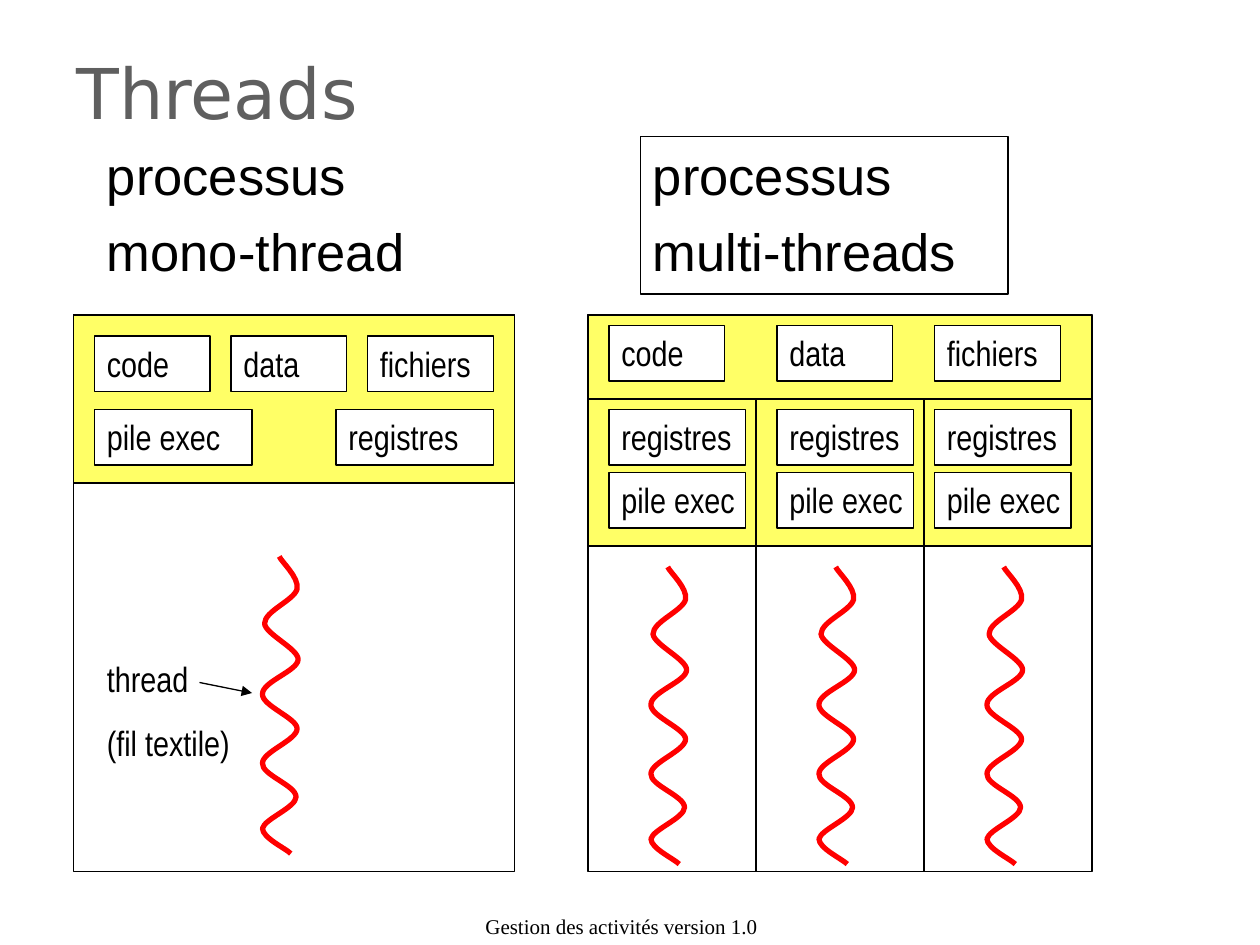
from lxml import etree
from pptx import Presentation
from pptx.dml.color import RGBColor
from pptx.enum.shapes import MSO_CONNECTOR, MSO_SHAPE
from pptx.enum.text import MSO_ANCHOR, MSO_AUTO_SIZE, PP_ALIGN
from pptx.oxml.ns import qn
from pptx.util import Pt

PX = 7620  # EMU per px, 120 px to the inch
RECTANGLE = MSO_SHAPE.RECTANGLE
STRAIGHT = MSO_CONNECTOR.STRAIGHT
TOP, MIDDLE, BOTTOM = MSO_ANCHOR.TOP, MSO_ANCHOR.MIDDLE, MSO_ANCHOR.BOTTOM
LEFT, CENTER = PP_ALIGN.LEFT, PP_ALIGN.CENTER

BLACK = RGBColor(0x00, 0x00, 0x00)
WHITE = RGBColor(0xFF, 0xFF, 0xFF)
YELLOW = RGBColor(0xFF, 0xFF, 0x66)
RED = RGBColor(0xFF, 0x00, 0x00)
GREY = RGBColor(0x5F, 0x5F, 0x5F)

# Content
TITLE = "Threads"
FOOTER = "Gestion des activités version 1.0"
SINGLE_HEADING = ["processus", "mono-thread"]
MULTI_HEADING = ["processus", "multi-threads"]
THREAD_LABEL = ["thread", "(fil textile)"]

# Labelled boxes: text, left, top, width
SINGLE_BOXES = [
    ("code", 90, 320, 110),
    ("data", 220, 320, 110),
    ("fichiers", 350, 320, 120),
    ("pile exec", 90, 390, 150),
    ("registres", 320, 390, 150),
]
# One column per thread: shared resource, left, width
SHARED_BOXES = [("code", 580, 110), ("data", 740, 110), ("fichiers", 890, 120)]
THREAD_BOXES = [("registres", 390), ("pile exec", 450)]
BOX_HEIGHT = 53

# Process frames: left, top, width, height
PROCESS_TOP, PROCESS_HEIGHT = 300, 530
SINGLE_LEFT, SINGLE_WIDTH, SINGLE_HEADER = 70, 420, 160
MULTI_LEFT, MULTI_WIDTH, MULTI_HEADER = 560, 480, 220
COLUMN_WIDTH = MULTI_WIDTH // len(SHARED_BOXES)
DIVIDER_TOP = 380

# Wavy thread: Bézier points relative to its start, three for each curve
WAVE = [
    (2, 5), (19, 20), (17, 31),
    (14, 42), (-14, 52), (-14, 64),
    (-13, 74), (18, 88), (18, 98),
    (18, 109), (-16, 119), (-16, 131),
    (-17, 142), (17, 154), (17, 164),
    (17, 175), (-16, 186), (-16, 197),
    (-17, 208), (16, 218), (16, 229),
    (16, 239), (-14, 250), (-16, 259),
    (-16, 268), (6, 278), (11, 283),
]

presentation = Presentation()
presentation.slide_width = 1200 * PX
presentation.slide_height = 900 * PX
slide = presentation.slides.add_slide(presentation.slide_layouts[5])


def emu(*lengths):
    return [length * PX for length in lengths]


def write(shape, lines, size=20, font="Arial Narrow", color=BLACK, before=12.5,
          align=LEFT, anchor=TOP, right=12, fit=MSO_AUTO_SIZE.NONE):
    frame = shape.text_frame
    frame.text = "\n".join(lines)
    frame.word_wrap = True
    frame.auto_size = fit
    frame.vertical_anchor = anchor
    frame.margin_left, frame.margin_right = emu(12, right)
    frame.margin_top = frame.margin_bottom = 6 * PX
    for paragraph in frame.paragraphs:
        paragraph.alignment = align
        paragraph.space_before = Pt(before)
        paragraph.font.size = Pt(size)
        paragraph.font.name = font
        paragraph.font.color.rgb = color


def add_box(left, top, width, height, fill=WHITE):
    shape = slide.shapes.add_shape(RECTANGLE, *emu(left, top, width, height))
    shape.shadow.inherit = False
    shape.fill.solid()
    shape.fill.fore_color.rgb = fill
    shape.line.color.rgb = BLACK
    shape.line.width = Pt(0.75)
    return shape


def add_label_box(text, left, top, width, right=12):
    write(add_box(left, top, width, BOX_HEIGHT), [text], right=right,
          fit=MSO_AUTO_SIZE.SHAPE_TO_FIT_TEXT)


def add_process(left, width, header):
    add_box(left, PROCESS_TOP, width, PROCESS_HEIGHT)
    add_box(left, PROCESS_TOP, width, header, fill=YELLOW)


def add_line(*ends, arrow=False):
    connector = slide.shapes.add_connector(STRAIGHT, *emu(*ends))
    connector.line.color.rgb = BLACK
    connector.line.width = Pt(0.75)
    if arrow:
        line = connector.line._get_or_add_ln()
        etree.SubElement(line, qn("a:tailEnd"), type="triangle")
    etree.SubElement(connector._element.spPr, qn("a:effectLst"))


def add_thread(left, top):
    builder = slide.shapes.build_freeform(left, top, scale=PX)
    builder.add_line_segments([(left + x, top + y) for x, y in WAVE], close=False)
    shape = builder.convert_to_shape()
    shape.shadow.inherit = False
    shape.fill.background()
    shape.line.color.rgb = RED
    shape.line.width = Pt(3)
    # Join every three straight segments into one cubic curve
    outline = next(shape._element.iter(qn("a:path")))
    segments = outline.findall(qn("a:lnTo"))
    for start in range(0, len(segments), 3):
        curve = etree.SubElement(outline, qn("a:cubicBezTo"))
        for segment in segments[start:start + 3]:
            curve.append(segment[0])
            outline.remove(segment)


# Title, footer and headings
title = slide.shapes.title
title.left, title.top, title.width, title.height = emu(61, 34, 804, 106)
write(title, [TITLE], size=40, font="DejaVu Sans", color=GREY, before=0, anchor=MIDDLE)

footer = slide.shapes.add_textbox(*emu(402, 857, 380, 43))
write(footer, [FOOTER], size=12, font="Times New Roman", before=0,
      align=CENTER, anchor=BOTTOM)

single_heading = slide.shapes.add_textbox(*emu(90, 130, 350, 150))
multi_heading = add_box(610, 130, 350, 150)
for heading, lines in [(single_heading, SINGLE_HEADING), (multi_heading, MULTI_HEADING)]:
    write(heading, lines, size=30, font="Arial", before=7.5)

# Single-threaded process
add_process(SINGLE_LEFT, SINGLE_WIDTH, SINGLE_HEADER)
for box in SINGLE_BOXES:
    add_label_box(*box)
add_thread(266, 530)
thread_label = slide.shapes.add_textbox(*emu(90, 620, 170, 113))
write(thread_label, THREAD_LABEL, fit=MSO_AUTO_SIZE.SHAPE_TO_FIT_TEXT)
add_line(190, 650, 240, 660, arrow=True)

# Multi-threaded process
add_process(MULTI_LEFT, MULTI_WIDTH, MULTI_HEADER)
add_line(MULTI_LEFT, DIVIDER_TOP, MULTI_LEFT + MULTI_WIDTH, DIVIDER_TOP)
for column, (resource, left, width) in enumerate(SHARED_BOXES):
    column_left = MULTI_LEFT + column * COLUMN_WIDTH
    if column:
        add_line(column_left, DIVIDER_TOP, column_left, PROCESS_TOP + PROCESS_HEIGHT)
    add_label_box(resource, left, 310, width)
    for text, top in THREAD_BOXES:
        add_label_box(text, left, top, 130, right=7)
    add_thread(column_left + 76, 540)

presentation.save("out.pptx")
